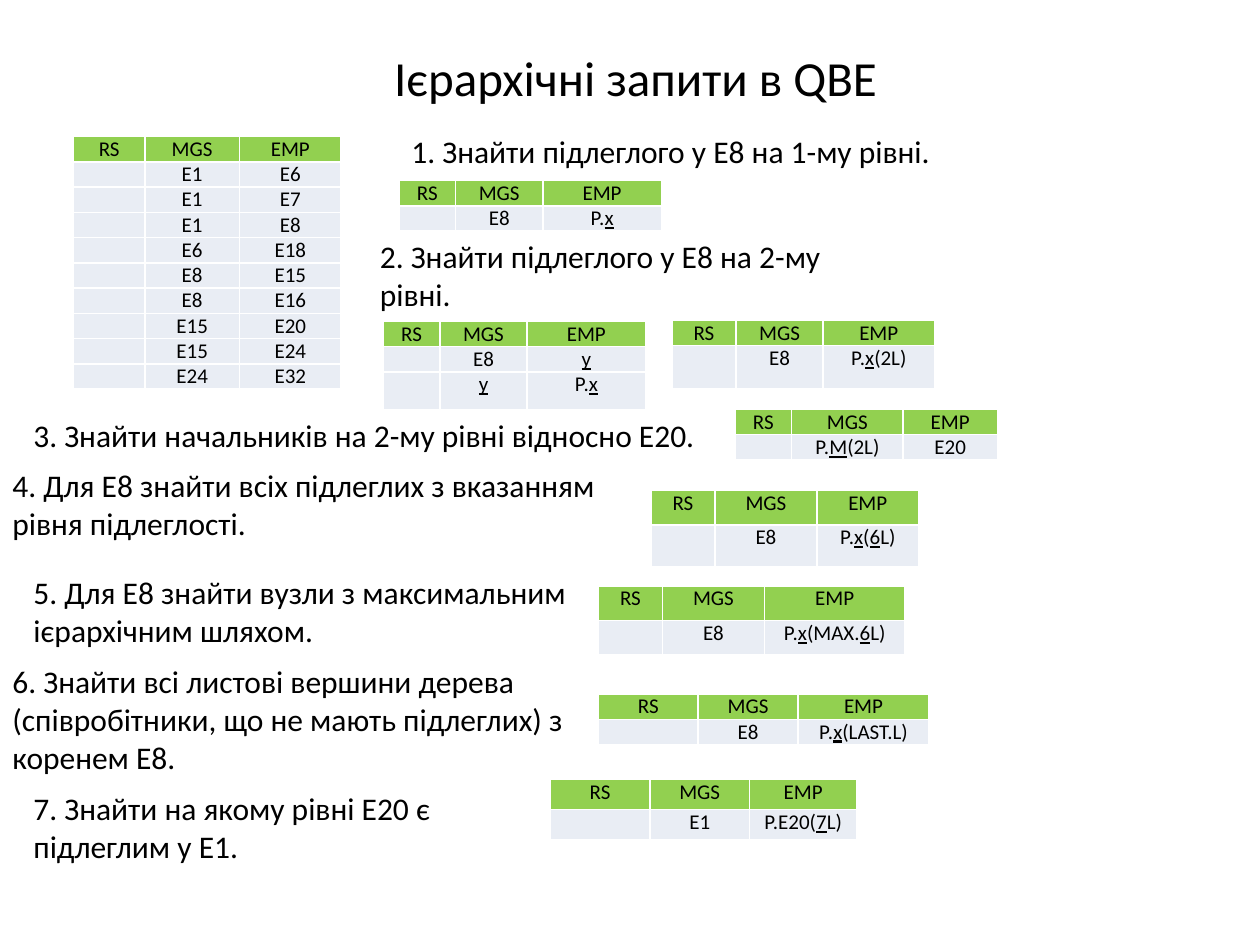
from dataclasses import dataclass

from lxml.etree import SubElement
from pptx import Presentation
from pptx.dml.color import RGBColor
from pptx.enum.text import MSO_ANCHOR as Anchor, PP_ALIGN as Align
from pptx.oxml import parse_xml
from pptx.oxml.ns import nsdecls, qn
from pptx.util import Inches, Pt

# Slide grid: 120 columns by 90 rows of square units
WIDTH, HEIGHT = 10, 7.5
COLUMNS = 120
FONT = "Calibri"
BLACK, WHITE, GREEN, PALE = "000000", "FFFFFF", "92D050", "E9EDF4"
HEADER = ("RS", "MGS", "EMP")
LINE = 2.4  # height of a one-line table row


@dataclass
class Label:
    column: float
    row: float
    width: float
    height: float
    text: str
    size: int = 18
    align: Align = Align.LEFT
    anchor: Anchor = Anchor.TOP


@dataclass
class Grid:
    """A query table; text between underscores is underlined."""
    column: float
    row: float
    widths: tuple[float, ...]
    heights: tuple[float, ...]
    records: list[tuple[str, str]]


LABELS = [
    Label(6, 3.6, 108, 7.4, " Ієрархічні запити в QBE", 28, Align.CENTER, Anchor.MIDDLE),
    Label(38, 12, 64, 4.8, "1. Знайти підлеглого у Е8 на 1-му рівні."),
    Label(35, 22, 48, 8.5, "2. Знайти підлеглого у Е8 на 2-му рівні."),
    Label(2, 39, 67, 4.8, "3. Знайти начальників на 2-му рівні відносно Е20."),
    Label(0, 43.8, 65, 8.5, "4. Для Е8 знайти всіх підлеглих з вказанням рівня підлеглості."),
    Label(2, 54, 55, 8.5, "5. Для Е8 знайти вузли з максимальним ієрархічним шляхом."),
    Label(0, 62.5, 56, 12.1, "6. Знайти всі листові вершини дерева (співробітники, "
                             "що не мають підлеглих) з коренем Е8."),
    Label(2, 74.6, 50, 8.5, "7. Знайти на якому рівні Е20 є підлеглим у Е1."),
]

STAFF = [("Е1", "Е6"), ("Е1", "Е7"), ("Е1", "Е8"), ("Е6", "Е18"), ("Е8", "Е15"),
         ("Е8", "Е16"), ("Е15", "Е20"), ("Е15", "Е24"), ("Е24", "Е32")]

GRIDS = [
    Grid(7, 13, (6.8, 9, 9.7), (LINE,) * 10, STAFF),
    Grid(38, 17.2, (5.4, 8.3, 11.3), (LINE, LINE), [("Е8", "Р._х_")]),
    Grid(36.5, 30.6, (5.4, 8.3, 11.3), (LINE, LINE, 3.6), [("Е8", "_у_"), ("_у_", "Р._х_")]),
    Grid(64, 30.5, (6.1, 8.3, 10.6), (LINE, 4.1), [("Е8", "Р._х_(2L)")]),
    Grid(70, 39, (5.4, 10.6, 9), (LINE, LINE), [("Р._М_(2L)", "Е20")]),
    Grid(62, 46.7, (6.1, 9.7, 9.7), (3.3, 4), [("Е8", "Р._х_(_6_L)")]),
    Grid(57, 55.8, (6.1, 9.7, 13.4), (3.3, 3.3), [("Е8", "Р._х_(МАХ._6_L)")]),
    Grid(57, 66.1, (9.5, 9.5, 12.5), (LINE, LINE), [("Е8", "Р._х_(LAST.L)")]),
    Grid(52.4, 74.2, (9.5, 9.5, 10.2), (2.9, 2.9), [("Е1", "Р.Е20(_7_L)")]),
]


def units(count: float) -> int:
    return Inches(count * WIDTH / COLUMNS)


def color(value: str) -> RGBColor:
    return RGBColor.from_string(value)


def style(font, size: int) -> None:
    font.name, font.size, font.bold = FONT, Pt(size), False
    font.color.rgb = color(BLACK)


def add_label(page, label: Label) -> None:
    box = page.shapes.add_textbox(units(label.column), units(label.row),
                                  units(label.width), units(label.height))
    frame = box.text_frame
    frame.word_wrap = True
    frame.vertical_anchor = label.anchor
    frame.text = label.text
    para = frame.paragraphs[0]
    para.alignment = label.align
    style(para.runs[0].font, label.size)


def add_borders(cell) -> None:
    properties = cell._tc.get_or_add_tcPr()
    for position, side in enumerate(("lnL", "lnR", "lnT", "lnB")):
        properties.insert(position, parse_xml(
            f'<a:{side} {nsdecls("a")} w="{Pt(1)}"><a:solidFill>'
            f'<a:srgbClr val="{WHITE}"/></a:solidFill></a:{side}>'))


def fill_cell(cell, text: str, background: str) -> None:
    cell.fill.solid()
    cell.fill.fore_color.rgb = color(background)
    cell.margin_left = cell.margin_right = Inches(0.07)
    cell.margin_top = cell.margin_bottom = 0
    add_borders(cell)
    para = cell.text_frame.paragraphs[0]
    para.alignment = Align.CENTER
    for index, part in enumerate(text.split("_")):
        if part:
            span = para.add_run()
            span.text = part
            style(span.font, 12)
            if index % 2:
                span.font.underline = True
    if not text:  # keeps an empty cell as low as its row
        SubElement(para._p, qn("a:endParaRPr"), sz="1200")


def add_grid(page, grid: Grid) -> None:
    rows = [HEADER] + [("", *record) for record in grid.records]
    table = page.shapes.add_table(
        len(rows), len(HEADER), units(grid.column), units(grid.row),
        units(sum(grid.widths)), units(sum(grid.heights))).table
    table.first_row = table.horz_banding = False
    for column, width in zip(table.columns, grid.widths):
        column.width = units(width)
    for index, (texts, height) in enumerate(zip(rows, grid.heights)):
        table.rows[index].height = units(height)
        for position, text in enumerate(texts):
            fill_cell(table.cell(index, position), text, PALE if index else GREEN)


def main() -> None:
    deck = Presentation()
    deck.slide_width, deck.slide_height = Inches(WIDTH), Inches(HEIGHT)
    page = deck.slides.add_slide(deck.slide_layouts[6])
    # Title and tasks
    for label in LABELS:
        add_label(page, label)
    # Staff hierarchy and query tables
    for grid in GRIDS:
        add_grid(page, grid)
    deck.save("out.pptx")


if __name__ == "__main__":
    main()
